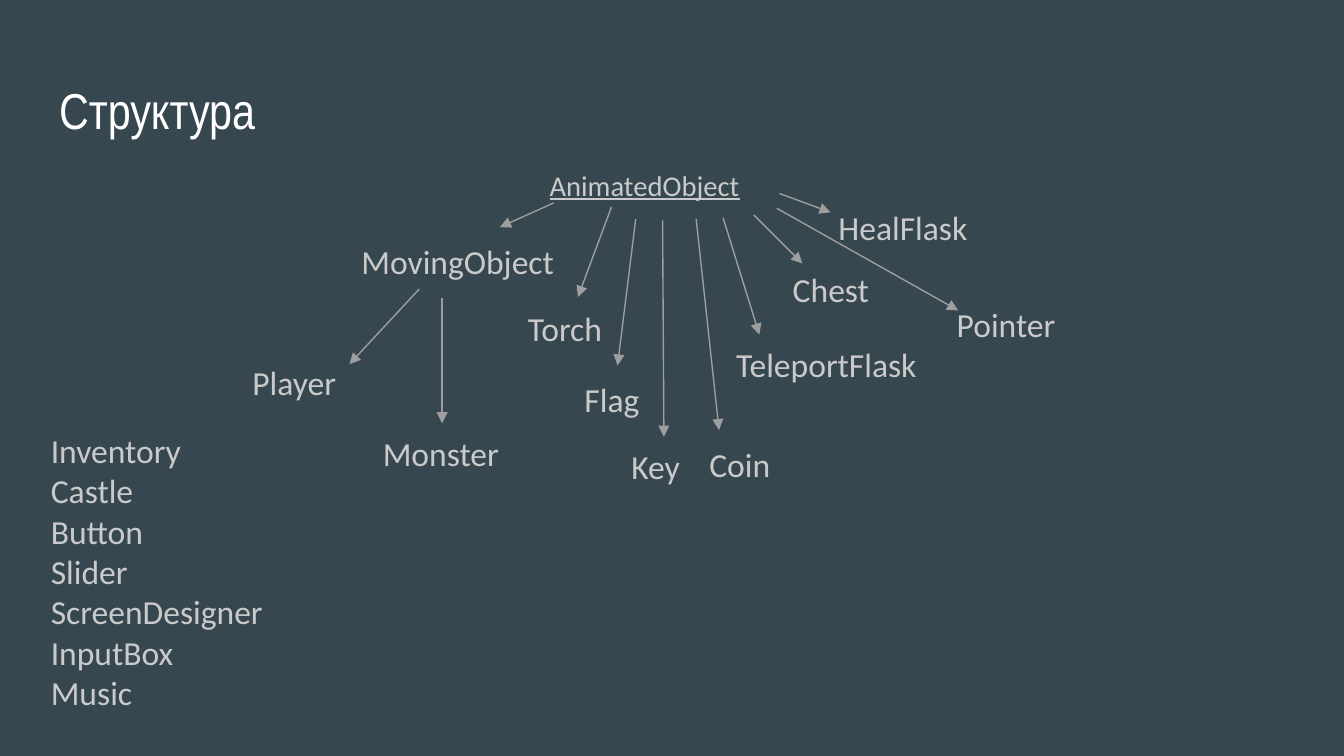
from pptx import Presentation
from pptx.dml.color import RGBColor
from pptx.enum.shapes import MSO_CONNECTOR
from pptx.enum.text import MSO_ANCHOR, MSO_AUTO_SIZE, PP_ALIGN
from pptx.oxml.ns import qn
from pptx.util import Inches, Pt
from lxml.etree import SubElement

COLORS = {"bg": "37474F", "title": "FFFFFF", "text": "CACACA", "line": "9E9E9E"}


def write(sp, text, size=18, font="Calibri", color="text", underline=None,
          spacing=1, after=0, auto_size=MSO_AUTO_SIZE.SHAPE_TO_FIT_TEXT):
    tf = sp.text_frame
    tf.word_wrap = True
    tf.auto_size = auto_size
    tf.vertical_anchor = MSO_ANCHOR.TOP
    tf.margin_left = tf.margin_right = Inches(0.1)
    tf.margin_top = tf.margin_bottom = Inches(0.1)
    p = tf.paragraphs[0]
    p.text = text
    p.alignment = PP_ALIGN.LEFT
    p.line_spacing = spacing
    p.space_before = Pt(0)
    p.space_after = Pt(after)
    for r in p.runs:
        r.font.size = Pt(size)
        r.font.name = font
        r.font.underline = underline
        r.font.color.rgb = RGBColor.from_string(COLORS[color])


prs = Presentation()
prs.slide_width = Inches(10)
prs.slide_height = prs.slide_width * 9 // 16
s = prs.slides.add_slide(prs.slide_layouts[5])
s.background.fill.solid()
s.background.fill.fore_color.rgb = RGBColor.from_string(COLORS["bg"])

title = s.shapes.title
title.left, title.top = Inches(0.34), Inches(0.49)
title.width, title.height = Inches(9.32), Inches(0.63)
write(title, "Структура", size=27, font="Arial Narrow", color="title",
      auto_size=MSO_AUTO_SIZE.NONE)

root = s.shapes.add_textbox(Inches(3.99), Inches(1.11), Inches(1.88), Inches(0.53))
write(root, "AnimatedObject", size=15.3, underline=True, spacing=1.15, after=12,
      auto_size=MSO_AUTO_SIZE.NONE)

classes = [
    ("MovingObject", 2.59, 1.69, 1.88, (4.12, 1.51), (3.72, 1.69)),
    ("Torch", 3.83, 2.19, 0.88, (4.55, 1.54), (4.3, 2.21)),
    ("Flag", 4.25, 2.72, 0.69, (4.73, 1.63), (4.6, 2.72)),
    ("Key", 4.6, 3.22, 0.76, (4.93, 1.64), (4.94, 3.25)),
    ("Coin", 5.18, 3.2, 0.76, (5.18, 1.63), (5.35, 3.2)),
    ("TeleportFlask", 5.38, 2.46, 1.67, (5.38, 1.62), (5.65, 2.49)),
    ("Chest", 5.8, 1.9, 0.88, (5.61, 1.6), (5.97, 1.96)),
    ("HealFlask", 6.14, 1.44, 4.67, (5.8, 1.44), (6.18, 1.58)),
    ("Pointer", 7.02, 2.16, 3.54, (5.78, 1.55), (7.13, 2.31)),
    ("Player", 1.78, 2.59, 5.1, (3.12, 2.15), (2.6, 2.71)),
    ("Monster", 2.75, 3.12, 5.1, (3.29, 2.22), (3.29, 3.15)),
]
for name, left, top, width, start, end in classes:
    sp = s.shapes.add_textbox(Inches(left), Inches(top), Inches(width), Inches(0.5))
    write(sp, name)
    arrow = s.shapes.add_connector(MSO_CONNECTOR.STRAIGHT,
                                   *map(Inches, start), *map(Inches, end))
    if abs(end[0] - left - width / 2) < 0.01 and end[1] == top:
        arrow.end_connect(sp, 0)
    arrow.line.width = Pt(0.75)
    arrow.line.color.rgb = RGBColor.from_string(COLORS["line"])
    SubElement(arrow.line._get_or_add_ln(), qn("a:tailEnd"), type="triangle")
    SubElement(arrow._element.spPr, qn("a:effectLst"))

others = ["Inventory", "Castle", "Button", "Slider", "ScreenDesigner", "InputBox", "Music"]
sp = s.shapes.add_textbox(Inches(0.28), Inches(3.1), Inches(1.94), Inches(2.32))
write(sp, "\v".join(others))

prs.save("out.pptx")
